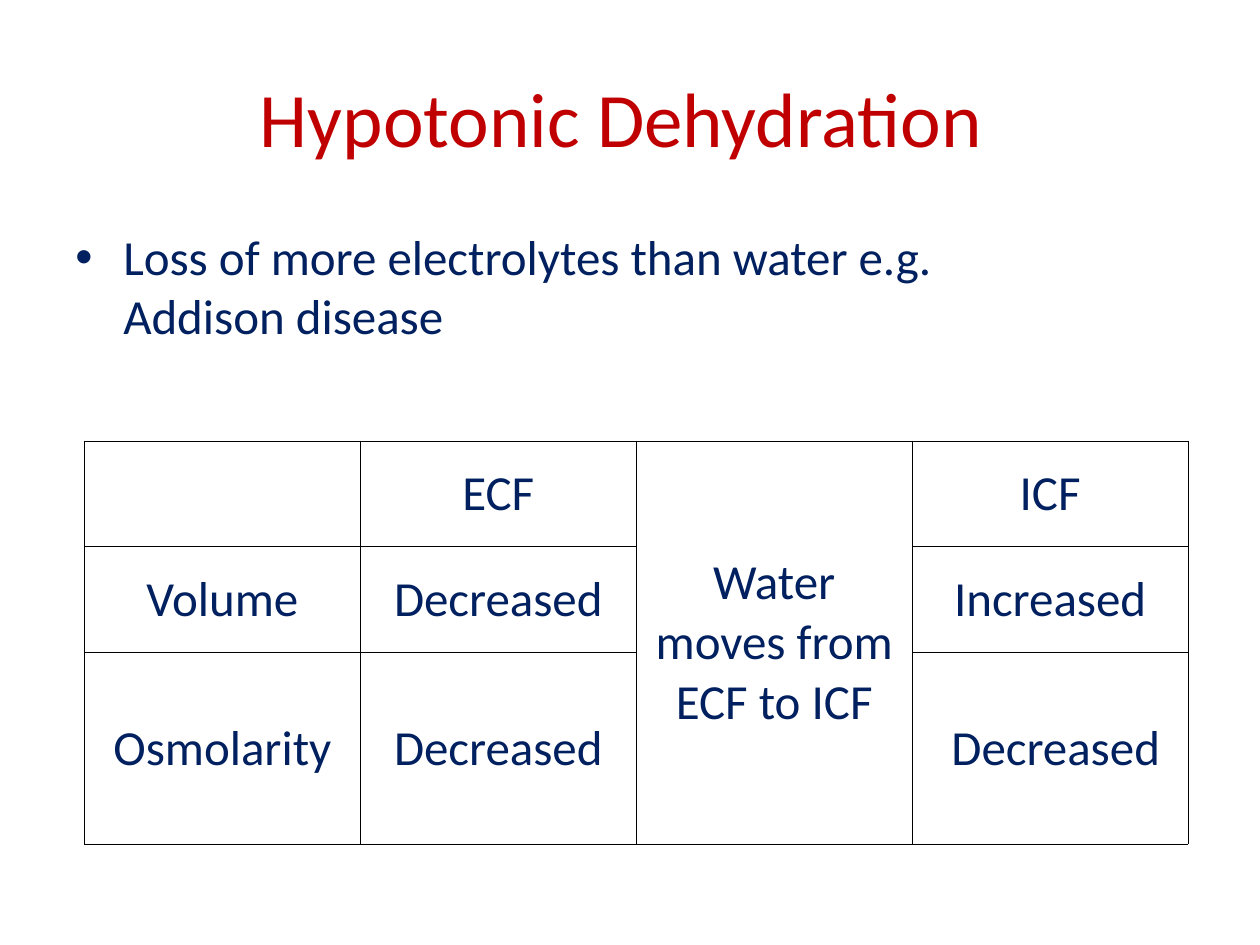
from dataclasses import dataclass

from lxml.etree import SubElement
from pptx import Presentation
from pptx.dml.color import RGBColor
from pptx.enum.text import MSO_ANCHOR, PP_ALIGN
from pptx.oxml.ns import qn
from pptx.util import Inches, Pt

FONT = "Calibri"
RED, NAVY, BLACK = "C00000", "002060", "000000"


@dataclass
class TableCell:
    row: int
    col: int
    text: str
    row_span: int = 1


CELLS = [
    TableCell(0, 1, "ECF"),
    TableCell(0, 2, "Water moves from ECF to ICF", row_span=3),
    TableCell(0, 3, "ICF"),
    TableCell(1, 0, "Volume"),
    TableCell(1, 1, "Decreased"),
    TableCell(1, 3, "Increased"),
    TableCell(2, 0, "Osmolarity"),
    TableCell(2, 1, "Decreased"),
    TableCell(2, 3, " Decreased"),
]


def rgb(value: str) -> RGBColor:
    return RGBColor.from_string(value)


def write(tf, text: str, *, size=28, color=NAVY, align=PP_ALIGN.CENTER,
          anchor=MSO_ANCHOR.MIDDLE, bullet=False) -> None:
    tf.word_wrap = True
    tf.vertical_anchor = anchor
    p = tf.paragraphs[0]
    p.alignment = align
    p.space_before = Pt(0)
    if bullet:
        add_bullet(p, color)
    r = p.add_run()
    r.text = text
    r.font.name, r.font.size = FONT, Pt(size)
    r.font.color.rgb = rgb(color)


def add_bullet(p, color: str, indent=0.38) -> None:
    pPr = p._p.get_or_add_pPr()
    pPr.set("marL", str(Inches(indent)))
    pPr.set("indent", str(-Inches(indent)))
    SubElement(SubElement(pPr, qn("a:buClr")), qn("a:srgbClr"), val=color)
    SubElement(pPr, qn("a:buFont"), typeface="Arial")
    SubElement(pPr, qn("a:buChar"), char="•")


def style_cell(cell, width=0.45) -> None:
    """Give a cell no fill and a thin line on every side."""
    tcPr = cell._tc.get_or_add_tcPr()
    for side in ("lnL", "lnR", "lnT", "lnB"):
        ln = SubElement(tcPr, qn(f"a:{side}"), w=str(Pt(width)))
        SubElement(SubElement(ln, qn("a:solidFill")), qn("a:srgbClr"), val=BLACK)
    cell.fill.background()


def place(sp, left: float, top: float, width: float, height: float) -> None:
    sp.left, sp.top = Inches(left), Inches(top)
    sp.width, sp.height = Inches(width), Inches(height)


def add_fluid_table(s) -> None:
    col_width, row_heights = 2.19, (0.84, 0.84, 1.52)
    table = s.shapes.add_table(
        3, 4, Inches(0.67), Inches(3.5),
        Inches(4 * col_width), Inches(sum(row_heights))).table
    table.first_row = table.horz_banding = False
    for col in table.columns:
        col.width = Inches(col_width)
    for row, height in zip(table.rows, row_heights):
        row.height = Inches(height)
    for cell in table.iter_cells():
        style_cell(cell)
    for item in CELLS:
        cell = table.cell(item.row, item.col)
        if item.row_span > 1:
            cell.merge(table.cell(item.row + item.row_span - 1, item.col))
        write(cell.text_frame, item.text, anchor=None)
        cell.vertical_anchor = MSO_ANCHOR.MIDDLE


def main() -> None:
    prs = Presentation()
    prs.slide_width, prs.slide_height = Inches(10), Inches(7.5)
    s = prs.slides.add_slide(prs.slide_layouts[5])

    # Title
    place(s.shapes.title, 0.5, 0.3, 9, 1.25)
    write(s.shapes.title.text_frame, "Hypotonic Dehydration ", size=44, color=RED)

    # Definition
    sp = s.shapes.add_textbox(Inches(0.5), Inches(1.75), Inches(7.75), Inches(1.25))
    write(sp.text_frame, "Loss of more electrolytes than water e.g. Addison disease",
          align=PP_ALIGN.LEFT, anchor=MSO_ANCHOR.TOP, bullet=True)

    # Fluid compartments
    add_fluid_table(s)
    prs.save("out.pptx")


if __name__ == "__main__":
    main()
